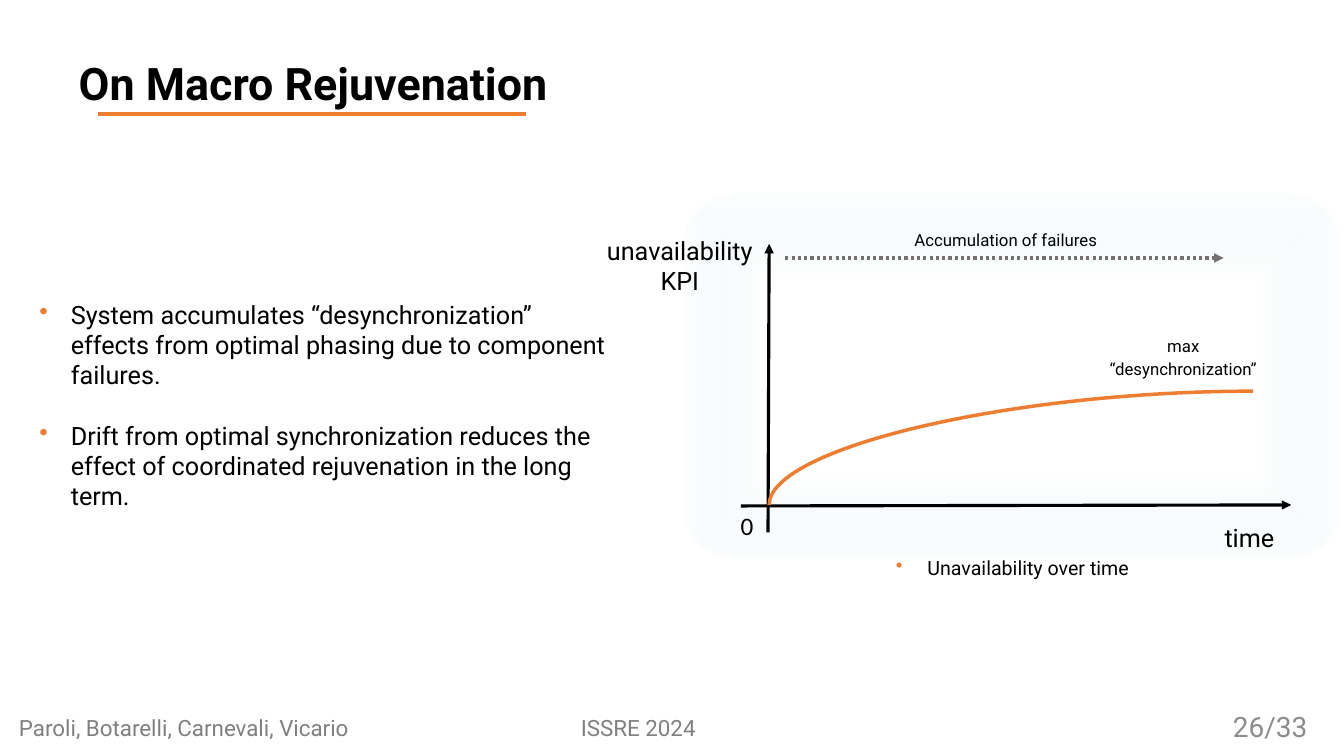
from lxml.etree import SubElement as Sub
from pptx import Presentation
from pptx.dml.color import RGBColor as Rgb
from pptx.enum.dml import MSO_LINE as Dash
from pptx.enum.shapes import MSO_CONNECTOR as Link, MSO_SHAPE as Shape
from pptx.enum.text import MSO_ANCHOR as Anchor, MSO_AUTO_SIZE as Fit, PP_ALIGN as Align
from pptx.oxml.ns import qn
from pptx.util import Pt

HUES = {"black": "000000", "orange": "ED7D31", "arrow": "767171",
        "foot": "808080", "page": "8C8C8C", "white": "FFFFFF", "ice": "E8F3F7"}


class Deck:
    """Holds the style and the current slide; all lengths are in points."""

    def __init__(self, wide, high):
        self.show = Presentation()
        self.show.slide_width, self.show.slide_height = Pt(wide), Pt(high)
        self.slide = self.show.slides.add_slide(self.show.slide_layouts[5])
        self.shapes = self.slide.shapes
        self.font = "Roboto"

    def label(self, box, lines, size, hue="black", align=Align.LEFT, font=None,
              bold=False, anchor=Anchor.TOP, space=None, gap=0, dots=False):
        frame = box.text_frame
        frame.word_wrap, frame.auto_size = True, Fit.NONE
        frame.vertical_anchor = anchor
        frame.text = "\n".join(lines)
        for i, para in enumerate(frame.paragraphs):
            para.alignment = align
            para.font.name, para.font.size = font or self.font, Pt(size)
            para.font.bold = bold
            para.font.color.rgb = Rgb.from_string(HUES[hue])
            para.line_spacing = space
            para.space_before = Pt(gap if i else 0)
            if dots:
                self.dot(para)

    def dot(self, para):
        props = para._p.get_or_add_pPr()
        props.set("marL", str(Pt(22.5)))
        props.set("indent", str(-Pt(22.5)))
        tint = Sub(props, qn("a:buClr"))
        Sub(tint, qn("a:srgbClr"), val=HUES["orange"])
        mark = Sub(props, qn("a:buChar"), char="•")
        # Bullet marks must come before the default run style
        base = props.find(qn("a:defRPr"))
        if base is not None:
            base.addprevious(tint)
            base.addprevious(mark)

    def title(self, area, line, size):
        box = self.shapes.title
        box.left, box.top, box.width, box.height = map(Pt, area)
        self.label(box, [line], size, bold=True)

    def text(self, area, lines, size, **style):
        self.label(self.shapes.add_textbox(*map(Pt, area)), lines, size, **style)

    def line(self, start, end, hue="black", width=2.25, dash=None, head=False,
             kind=Link.STRAIGHT):
        link = self.shapes.add_connector(kind, *map(Pt, start + end))
        link.line.color.rgb = Rgb.from_string(HUES[hue])
        link.line.width = Pt(width)
        if dash:
            link.line.dash_style = dash
        props = link._element.spPr
        if head:
            Sub(props.find(qn("a:ln")), qn("a:tailEnd"), type="triangle")
        Sub(props, qn("a:effectLst"))
        return link

    def curve(self, start, end, hue, width):
        # A quarter bend, turned so that it rises first and then runs right
        (x1, y1), (x2, y2) = start, end
        midx, midy = (x1 + x2) / 2, (y1 + y2) / 2
        halfw, halfh = (y1 - y2) / 2, (x2 - x1) / 2
        link = self.line((midx - halfw, midy - halfh), (midx + halfw, midy + halfh),
                         hue, width, kind=Link.CURVE)
        props = link._element.spPr
        props.find(qn("a:prstGeom")).set("prst", "curvedConnector2")
        props.find(qn("a:xfrm")).set("rot", str(270 * 60000))

    def panel(self, area, bend):
        box = self.shapes.add_shape(Shape.ROUNDED_RECTANGLE, *map(Pt, area))
        box.adjustments[0] = bend
        box.shadow.inherit = False
        box.line.fill.background()
        box.fill.gradient()
        grad = box._element.spPr.find(qn("a:gradFill"))
        for child in list(grad):
            grad.remove(child)
        stops = Sub(grad, qn("a:gsLst"))
        for pos, hue, alpha in ((53, "white", 100), (100, "ice", 11)):
            stop = Sub(stops, qn("a:gs"), pos=str(pos * 1000))
            tint = Sub(stop, qn("a:srgbClr"), val=HUES[hue])
            Sub(tint, qn("a:alpha"), val=str(alpha * 1000))
        way = Sub(grad, qn("a:path"), {"path": "shape"})
        Sub(way, qn("a:fillToRect"), dict.fromkeys("ltrb", "50000"))


def main():
    deck = Deck(960, 540)

    # Title and its rule
    deck.title((49, 36, 458, 46), "On Macro Rejuvenation", 32)
    deck.line((70, 81.4), (376, 81.4), "orange", 2.5)

    # Main points
    deck.text((21, 210.2, 422, 160), [
        "System accumulates “desynchronization” effects from optimal phasing "
        "due to component failures.",
        "Drift from optimal synchronization reduces the effect of coordinated "
        "rejuvenation in the long term."], 18, gap=21.5, dots=True)

    # Sketch: panel, axes and their names
    deck.panel((488.2, 138.2, 468.7, 260.6), 0.148)
    deck.text((867.6, 369.4, 54.7, 28.8), ["time"], 18)
    deck.line((529.2, 361.4), (922.3, 360.7), head=True)
    deck.line((548.6, 380.2), (549.4, 174.2), head=True)
    deck.text((422.6, 164.2, 126, 51), ["unavailability", "KPI"], 18,
              align=Align.CENTER)
    deck.text((522, 360.7, 39, 28.8), ["0"], 18, font="Calibri")

    # Sketch: failures arrow, curve and notes
    deck.line((561, 184.3), (874, 184.3), "arrow", dash=Dash.ROUND_DOT, head=True)
    deck.text((563, 164.2, 311, 19.4), ["Accumulation of failures"], 12,
              align=Align.CENTER, space=0.7)
    deck.text((770.8, 240.5, 149, 39.6), ["max", "“desynchronization”"], 12,
              align=Align.CENTER, space=0.7, gap=6)
    deck.curve((549.4, 360.7), (895, 279.4), "orange", 2.5)
    deck.text((558.7, 393.9, 329, 28.8), ["Unavailability over time"], 14,
              align=Align.CENTER, dots=True)

    # Footer
    deck.text((6.5, 506.9, 380, 26.6), ["Paroli, Botarelli, Carnevali, Vicario"], 16,
              hue="foot")
    deck.text((407.8, 506.9, 200, 26.6), ["ISSRE 2024"], 16, hue="foot")
    deck.text((725, 504.7, 216, 28.8), ["26/33"], 20, hue="page",
              align=Align.RIGHT, anchor=Anchor.MIDDLE)

    deck.show.save("out.pptx")


if __name__ == "__main__":
    main()
